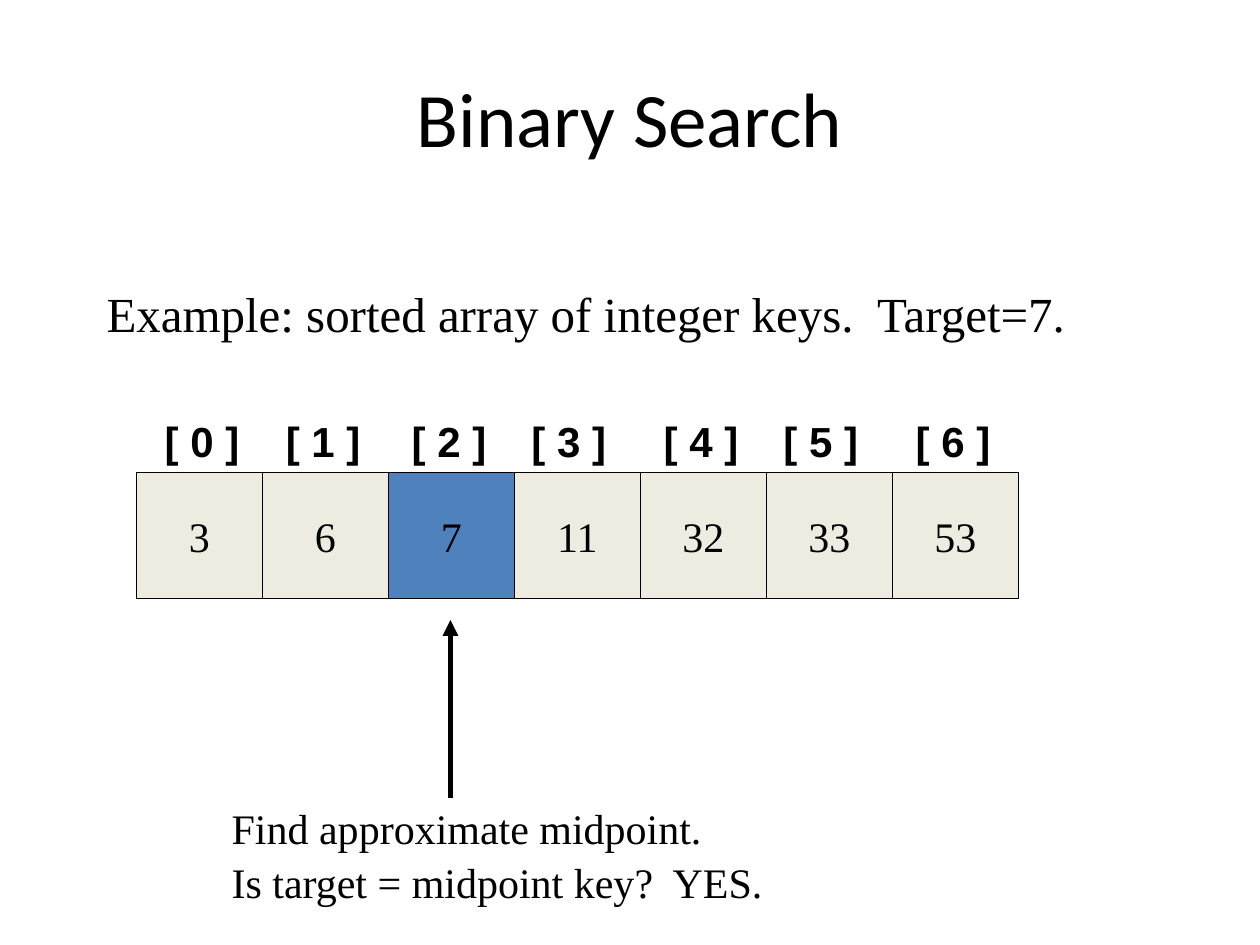
from lxml.etree import SubElement
from pptx import Presentation
from pptx.dml.color import RGBColor
from pptx.enum.shapes import MSO_CONNECTOR, MSO_SHAPE
from pptx.enum.text import MSO_ANCHOR, MSO_AUTO_SIZE, PP_ALIGN
from pptx.oxml.ns import qn
from pptx.util import Cm, Pt


def hue(code):
    return RGBColor.from_string(code)


class Deck:
    ink = "000000"
    sand = "EEECE1"
    blue = "4F81BD"
    serif = "Times New Roman"
    sans = "Arial"

    def __init__(self):
        self.show = Presentation()
        self.show.slide_width = Cm(25.4)
        self.show.slide_height = Cm(19.05)
        self.slide = self.show.slides.add_slide(self.show.slide_layouts[5])

    def fill_text(self, frame, lines, size, font, bold=False, align=PP_ALIGN.LEFT, gap=None):
        for i, line in enumerate(lines):
            para = frame.paragraphs[0] if i == 0 else frame.add_paragraph()
            para.alignment = align
            para.line_spacing = gap
            run = para.add_run()
            run.text = line
            run.font.size = Pt(size)
            run.font.name = font
            run.font.bold = bold
            run.font.color.rgb = hue(self.ink)

    def title(self, text):
        head = self.slide.shapes.title
        head.left, head.top = Cm(1.27), Cm(0.76)
        head.width, head.height = Cm(22.86), Cm(3.18)
        head.text_frame.vertical_anchor = MSO_ANCHOR.MIDDLE
        self.fill_text(head.text_frame, [text], 44, "Calibri", align=PP_ALIGN.CENTER)

    def text(self, lines, x, y, w, h, size, font, grow=True, **style):
        box = self.slide.shapes.add_textbox(Cm(x), Cm(y), Cm(w), Cm(h))
        frame = box.text_frame
        frame.word_wrap = False
        frame.auto_size = MSO_AUTO_SIZE.SHAPE_TO_FIT_TEXT if grow else MSO_AUTO_SIZE.NONE
        self.fill_text(frame, lines, size, font, **style)

    def cell(self, text, x, y, side, fill):
        box = self.slide.shapes.add_shape(
            MSO_SHAPE.RECTANGLE, Cm(x), Cm(y), Cm(side), Cm(side))
        box.shadow.inherit = False
        box.fill.solid()
        box.fill.fore_color.rgb = hue(fill)
        box.line.color.rgb = hue(self.ink)
        box.line.width = Pt(0.75)
        frame = box.text_frame
        frame.word_wrap = False
        frame.vertical_anchor = MSO_ANCHOR.MIDDLE
        self.fill_text(frame, [text], 24, self.serif, align=PP_ALIGN.CENTER)

    def arrow(self, x, top, end):
        line = self.slide.shapes.add_connector(
            MSO_CONNECTOR.STRAIGHT, Cm(x), Cm(top), Cm(x), Cm(end))
        line.line.color.rgb = hue(self.ink)
        line.line.width = Pt(3)
        props = line._element.spPr
        SubElement(props.find(qn("a:ln")), qn("a:headEnd"), type="triangle")
        SubElement(props, qn("a:effectLst"))


def main():
    deck = Deck()
    deck.title("Binary Search")
    deck.text(["Example: sorted array of integer keys.  Target=7."],
              1.9, 5.6, 19.94, 8.56, 28, deck.serif, grow=False)

    keys = [3, 6, 7, 11, 32, 33, 53]
    marks = [3.07, 5.51, 8.05, 10.46, 13.13, 15.54, 18.21]
    mid = 2
    side = 2.54
    for i, (key, left) in enumerate(zip(keys, marks)):
        fill = deck.blue if i == mid else deck.sand
        deck.cell(str(key), 2.75 + i * side, 9.53, side, fill)
        align = PP_ALIGN.CENTER if i % 2 else PP_ALIGN.LEFT
        deck.text([f"[ {i} ]"], left, 8.26, 2.01, 1.27, 24, deck.sans,
                  bold=True, align=align)

    deck.arrow(9.08, 12.5, 16.08)
    deck.text(["Find approximate midpoint.", "Is target = midpoint key?  YES."],
              4.42, 16, 11.25, 2.29, 24, deck.serif, gap=1.06)
    deck.show.save("out.pptx")


if __name__ == "__main__":
    main()
